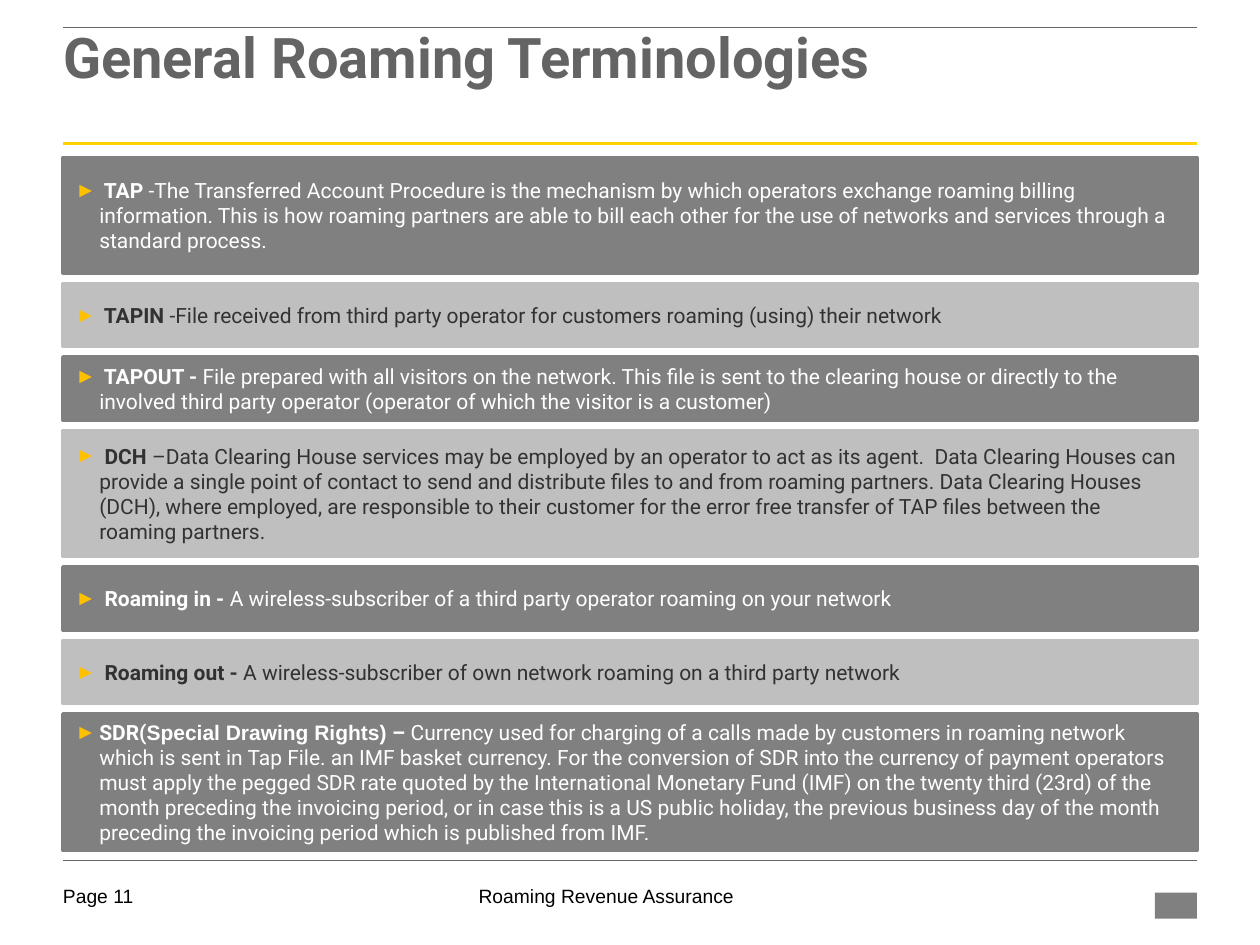
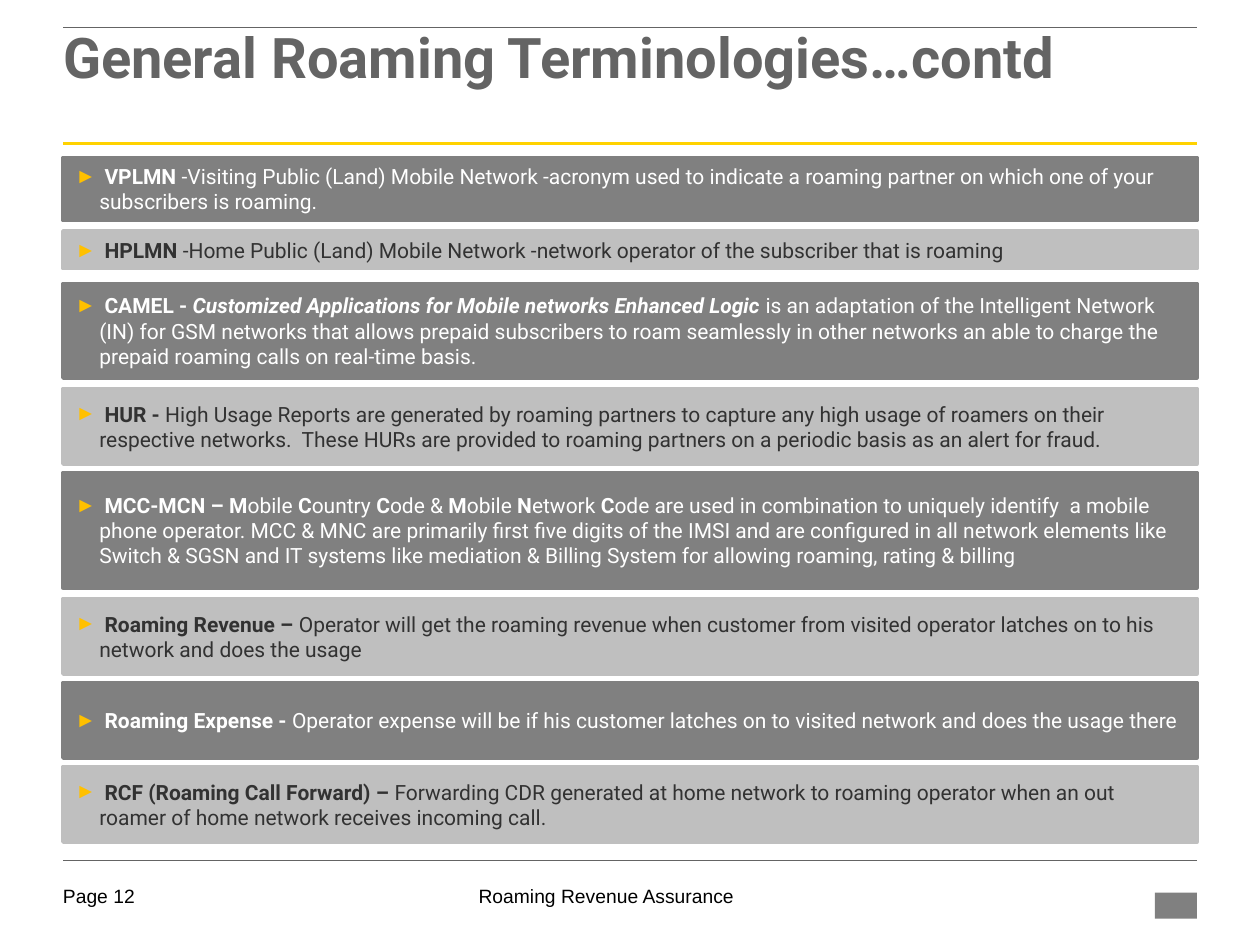
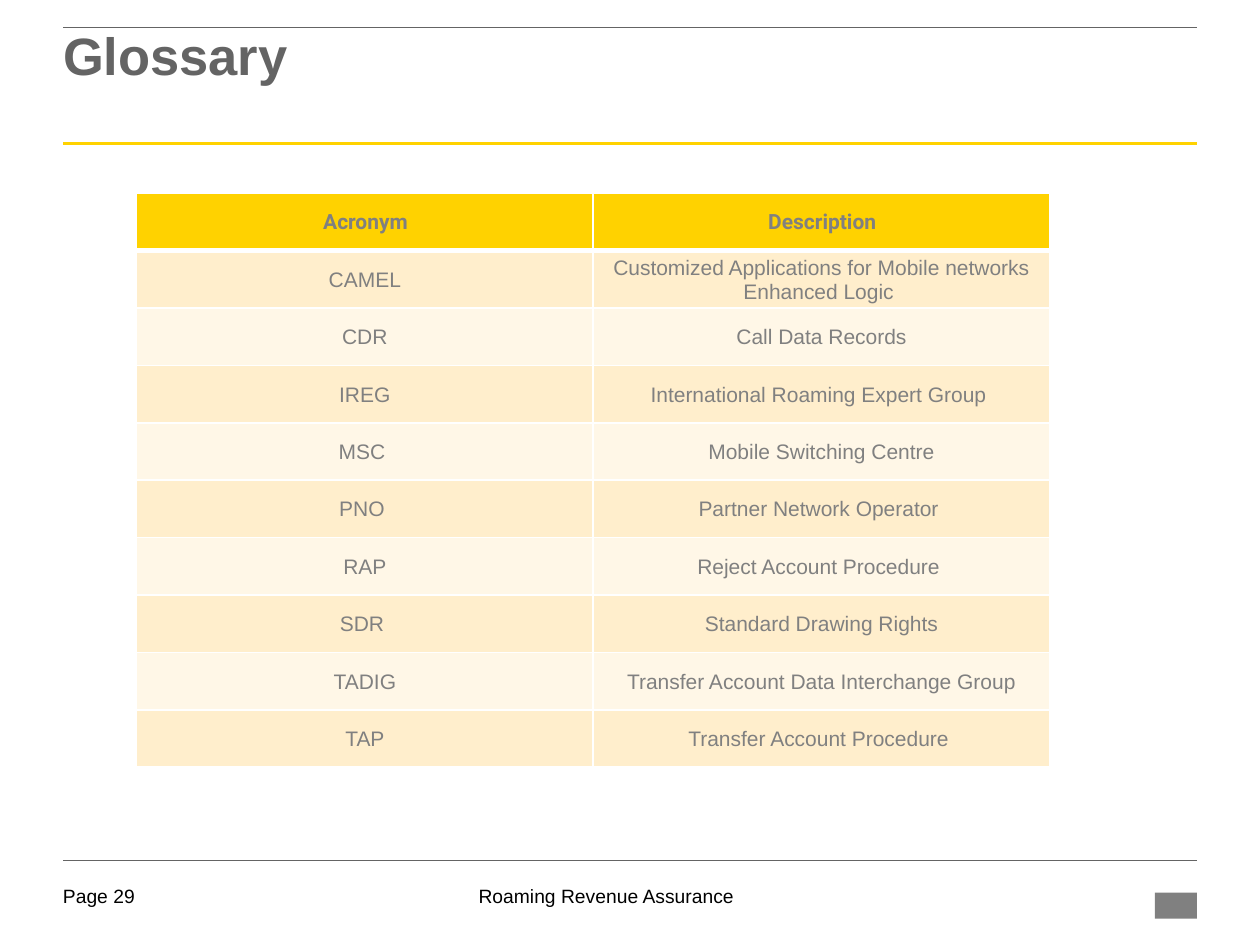
"""Build three roaming reference slides: two of terminology and a glossary."""
from dataclasses import dataclass

from lxml import etree
from pptx import Presentation
from pptx.dml.color import RGBColor
from pptx.enum.shapes import MSO_CONNECTOR, MSO_SHAPE
from pptx.enum.text import MSO_ANCHOR, MSO_AUTO_SIZE, PP_ALIGN
from pptx.oxml.ns import qn
from pptx.util import Emu, Inches, Pt

STRAIGHT = MSO_CONNECTOR.STRAIGHT
RECTANGLE = MSO_SHAPE.RECTANGLE
TOP, MIDDLE = MSO_ANCHOR.TOP, MSO_ANCHOR.MIDDLE
LEFT, CENTER = PP_ALIGN.LEFT, PP_ALIGN.CENTER
NO_AUTOFIT = MSO_AUTO_SIZE.NONE

YELLOW = RGBColor(0xFF, 0xD2, 0x00)
AMBER = RGBColor(0xFF, 0xC0, 0x00)
SLATE = RGBColor(0x64, 0x64, 0x64)
GREY = RGBColor(0x80, 0x80, 0x80)
SILVER = RGBColor(0xBF, 0xBF, 0xBF)
CHARCOAL = RGBColor(0x32, 0x32, 0x32)
BLACK = RGBColor(0x00, 0x00, 0x00)
WHITE = RGBColor(0xFF, 0xFF, 0xFF)
CREAM = RGBColor(0xFF, 0xEE, 0xCC)
IVORY = RGBColor(0xFF, 0xF7, 0xE7)

ROBOTO, ARIAL = "Roboto", "Arial"
TITLE_ONLY = 5
GRID = 12
MARGIN, CONTENT = 6, 108


@dataclass(frozen=True)
class Run:
    """A stretch of text in one style."""
    text: str
    bold: bool = False
    italic: bool = False
    font: str = ROBOTO


@dataclass(frozen=True)
class Band:
    """A full-width term band, placed by grid row."""
    row: float
    rows: float
    runs: tuple[Run, ...]


@dataclass(frozen=True)
class Rule:
    """A full-width horizontal line."""
    row: float
    color: RGBColor
    width: float


def bold(text: str, font: str = ROBOTO) -> Run:
    """Return a bold run."""
    return Run(text, bold=True, font=font)


def term(row: float, rows: float, name: str, meaning: str) -> Band:
    """Return a band with a bold name and a plain meaning."""
    return Band(row, rows, (bold(name), Run(meaning)))


RULES = (Rule(13.68, YELLOW, 1.5), Rule(81.96, SLATE, 0.25), Rule(2.64, SLATE, 0.5))

TERMS = (
    term(15, 11, " TAP ", "-The Transferred Account Procedure is the mechanism by which operators "
         "exchange roaming billing information. This is how roaming partners are able to bill each "
         "other for the use of networks and services through a standard process."),
    term(27, 6, " TAPIN ", "-File received from third party operator for customers roaming (using) "
         "their network"),
    term(34, 6, " TAPOUT - ", "File prepared with all visitors on the network. This file is sent to "
         "the clearing house or directly to the involved third party operator (operator of which "
         "the visitor is a customer)"),
    term(41, 12, " DCH ", "–Data Clearing House services may be employed by an operator to act as "
         "its agent.  Data Clearing Houses can provide a single point of contact to send and "
         "distribute files to and from roaming partners. Data Clearing Houses (DCH), where "
         "employed, are responsible to their customer for the error free transfer of TAP files "
         "between the roaming partners."),
    term(54, 6, " Roaming in - ", "A wireless-subscriber of a third party operator roaming on your "
         "network"),
    term(61, 6, " Roaming out - ", "A wireless-subscriber of own network roaming on a third party "
         "network"),
    Band(68, 13, (
        bold("SDR("), bold("Special Drawing Rights)", ARIAL), bold(" – "),
        Run("Currency used for charging of a calls made by customers in roaming network which is "
            "sent in Tap File. an IMF basket currency. For the conversion of SDR into the currency "
            "of payment operators must apply the pegged SDR rate quoted by the International "
            "Monetary Fund (IMF) on the twenty third (23rd) of the month preceding the invoicing "
            "period, or in case this is a US public holiday, the previous business day of the "
            "month preceding the invoicing period which is published from IMF."))),
)

MORE_TERMS = (
    term(15, 6, " VPLMN ", "-Visiting Public (Land) Mobile Network -acronym used to indicate a "
         "roaming partner on which one of your subscribers is roaming."),
    term(22, 3.6, " HPLMN ", "-Home Public (Land) Mobile Network -network operator of the "
         "subscriber that is roaming"),
    Band(27, 9, (
        bold(" CAMEL - "),
        Run("Customized Applications for Mobile networks Enhanced Logic", bold=True, italic=True),
        Run(" is an adaptation of the Intelligent Network (IN) for GSM networks that allows "
            "prepaid subscribers to roam seamlessly in other networks an able to charge the "
            "prepaid roaming calls on real-time basis."))),
    term(37, 7.2, " HUR - ", "High Usage Reports are generated by roaming partners to capture any "
         "high usage of roamers on their respective networks.  These HURs are provided to roaming "
         "partners on a periodic basis as an alert for fraud."),
    Band(45, 11, (
        bold(" MCC-MCN – M"), Run("obile "), bold("C"), Run("ountry "), bold("C"), Run("ode & "),
        bold("M"), Run("obile "), bold("N"), Run("etwork "), bold("C"),
        Run("ode are used in combination to uniquely identify  a mobile phone operator. MCC & MNC "
            "are primarily first five digits of the IMSI and are configured in all network "
            "elements like Switch & SGSN and IT systems like mediation & Billing System for "
            "allowing roaming, rating & billing"))),
    term(57, 7.2, " Roaming Revenue – ", "Operator will get the roaming revenue when customer from "
         "visited operator latches on to his network and does the usage"),
    term(65, 7.2, " Roaming Expense - ", "Operator expense will be if his customer latches on to "
         "visited network and does the usage there"),
    term(73, 7.2, " RCF (Roaming Call Forward) – ", "Forwarding CDR generated at home network to "
         "roaming operator when an out roamer of home network receives incoming call."),
)

GLOSSARY = (
    ("Acronym", "Description"),
    ("CAMEL", "Customized Applications for Mobile networks Enhanced Logic "),
    ("CDR", "Call Data Records"),
    ("IREG", "International Roaming Expert Group "),
    ("MSC ", "Mobile Switching Centre"),
    ("PNO ", "Partner Network Operator "),
    ("RAP", "Reject Account Procedure "),
    ("SDR ", "Standard Drawing Rights"),
    ("TADIG", "Transfer Account Data Interchange Group"),
    ("TAP", "Transfer Account Procedure "),
)


def grid(units: float) -> Emu:
    """Turn grid columns or rows into a length."""
    return Inches(units / GRID)


def add_run(p, run: Run, size: float, color: RGBColor) -> None:
    """Add one styled run to a paragraph."""
    r = p.add_run()
    r.text = run.text
    r.font.name, r.font.size = run.font, Pt(size)
    r.font.bold, r.font.italic = run.bold, run.italic
    r.font.color.rgb = color


def set_insets(frame, insets: tuple[float, float, float, float]) -> None:
    """Set left, top, right and bottom insets in inches."""
    (frame.margin_left, frame.margin_top,
     frame.margin_right, frame.margin_bottom) = map(Inches, insets)


def add_bullet(p) -> None:
    """Give a paragraph the amber arrow bullet and hanging indent."""
    pPr = p._p.get_or_add_pPr()
    pPr.set("marL", str(Inches(0.19)))
    pPr.set("indent", str(-Inches(0.19)))
    color = etree.SubElement(pPr, qn("a:buClr"))
    etree.SubElement(color, qn("a:srgbClr"), val=str(AMBER))
    etree.SubElement(pPr, qn("a:buFont"), typeface=ARIAL)
    etree.SubElement(pPr, qn("a:buChar"), char="►")


def add_rule(s, rule: Rule) -> None:
    """Draw a line across the content width."""
    y = grid(rule.row)
    line = s.shapes.add_connector(STRAIGHT, grid(MARGIN), y, grid(MARGIN + CONTENT), y)
    line.line.color.rgb, line.line.width = rule.color, Pt(rule.width)
    etree.SubElement(line._element.spPr, qn("a:effectLst"))


def add_block(s, col: float, row: float, cols: float, rows: float, color: RGBColor):
    """Draw a plain filled rectangle on the grid."""
    sp = s.shapes.add_shape(RECTANGLE, grid(col), grid(row), grid(cols), grid(rows))
    sp.shadow.inherit = False
    sp.fill.solid()
    sp.fill.fore_color.rgb = color
    sp.line.fill.background()
    return sp


def add_footer(s, col: float, cols: float, text: str, align: PP_ALIGN) -> None:
    """Add one footer text."""
    tf = s.shapes.add_textbox(grid(col), grid(84.24), grid(cols), grid(2.7)).text_frame
    tf.word_wrap = True
    set_insets(tf, (0, 0, 0, 0))
    p = tf.paragraphs[0]
    p.alignment = align
    add_run(p, Run(text, font=ARIAL), 11, BLACK)


def add_slide(prs, title: str, page: int, font: str = ROBOTO, size: float = 32):
    """Add a slide with its title, rules and footers."""
    s = prs.slides.add_slide(prs.slide_layouts[TITLE_ONLY])
    sp = s.shapes.title
    sp.left, sp.top, sp.width, sp.height = map(grid, (MARGIN, 2.64, CONTENT, 11.28))
    tf = sp.text_frame
    tf.word_wrap, tf.auto_size, tf.vertical_anchor = True, NO_AUTOFIT, TOP
    set_insets(tf, (0, 0.04, 0, 0))
    p = tf.paragraphs[0]
    p.alignment, p.line_spacing = LEFT, 0.85
    add_run(p, bold(title, font), size, SLATE)
    for rule in RULES:
        add_rule(s, rule)
    add_footer(s, 33, 49.5, "Roaming Revenue Assurance", CENTER)
    add_footer(s, MARGIN, 8.76, f"Page {page}", LEFT)
    add_block(s, 110, 85, 4, 2.5, GREY)
    return s


def add_bands(s, bands: tuple[Band, ...]) -> None:
    """Draw term bands in alternating dark and light colours."""
    for i, band in enumerate(bands):
        fill, color = ((GREY, WHITE), (SILVER, CHARCOAL))[i % 2]
        sp = add_block(s, MARGIN, band.row, CONTENT, band.rows, fill)
        sp.line.color.rgb, sp.line.width = fill, Pt(2)
        tf = sp.text_frame
        tf.word_wrap, tf.vertical_anchor = True, MIDDLE
        p = tf.paragraphs[0]
        p.alignment = LEFT
        add_bullet(p)
        for run in band.runs:
            add_run(p, run, 12, color)


def add_borders(cell, bottom: float) -> None:
    """Give a cell white borders, with its own bottom width."""
    tcPr = cell._tc.get_or_add_tcPr()
    for side, width in (("L", 1), ("R", 1), ("T", 1), ("B", bottom)):
        ln = etree.SubElement(tcPr, qn(f"a:ln{side}"), w=str(Pt(width)))
        fill = etree.SubElement(ln, qn("a:solidFill"))
        etree.SubElement(fill, qn("a:srgbClr"), val=str(WHITE))


def add_glossary(s, rows: tuple[tuple[str, str], ...]) -> None:
    """Draw the acronym table with a yellow header and striped rows."""
    row_height = 5.47
    table = s.shapes.add_table(len(rows), 2, grid(13), grid(18.4), grid(87),
                               grid(row_height * len(rows))).table
    for i, texts in enumerate(rows):
        header = i == 0
        table.rows[i].height = grid(row_height)
        for j, text in enumerate(texts):
            cell = table.cell(i, j)
            above_stripes = header or i == 1
            add_borders(cell, 3 if header else 1)
            if above_stripes and not header:
                cell._tc.tcPr.find(qn("a:lnT")).set("w", str(Pt(3)))
            cell.fill.solid()
            cell.fill.fore_color.rgb = YELLOW if header else (IVORY, CREAM)[i % 2]
            cell.vertical_anchor = MIDDLE
            set_insets(cell, (0.05, 0.03, 0.04, 0.02) if header else (0.01, 0.01, 0.01, 0))
            p = cell.text_frame.paragraphs[0]
            p.alignment = CENTER
            add_run(p, bold(text) if header else Run(text, font=ARIAL), 12, GREY)


def main() -> None:
    """Build and save the presentation."""
    prs = Presentation()
    prs.slide_width, prs.slide_height = Inches(10), Inches(7.5)
    add_bands(add_slide(prs, "General Roaming Terminologies", 11), TERMS)
    add_bands(add_slide(prs, "General Roaming Terminologies…contd", 12), MORE_TERMS)
    add_glossary(add_slide(prs, "Glossary", 29, ARIAL, 30), GLOSSARY)
    prs.save("out.pptx")


if __name__ == "__main__":
    main()
